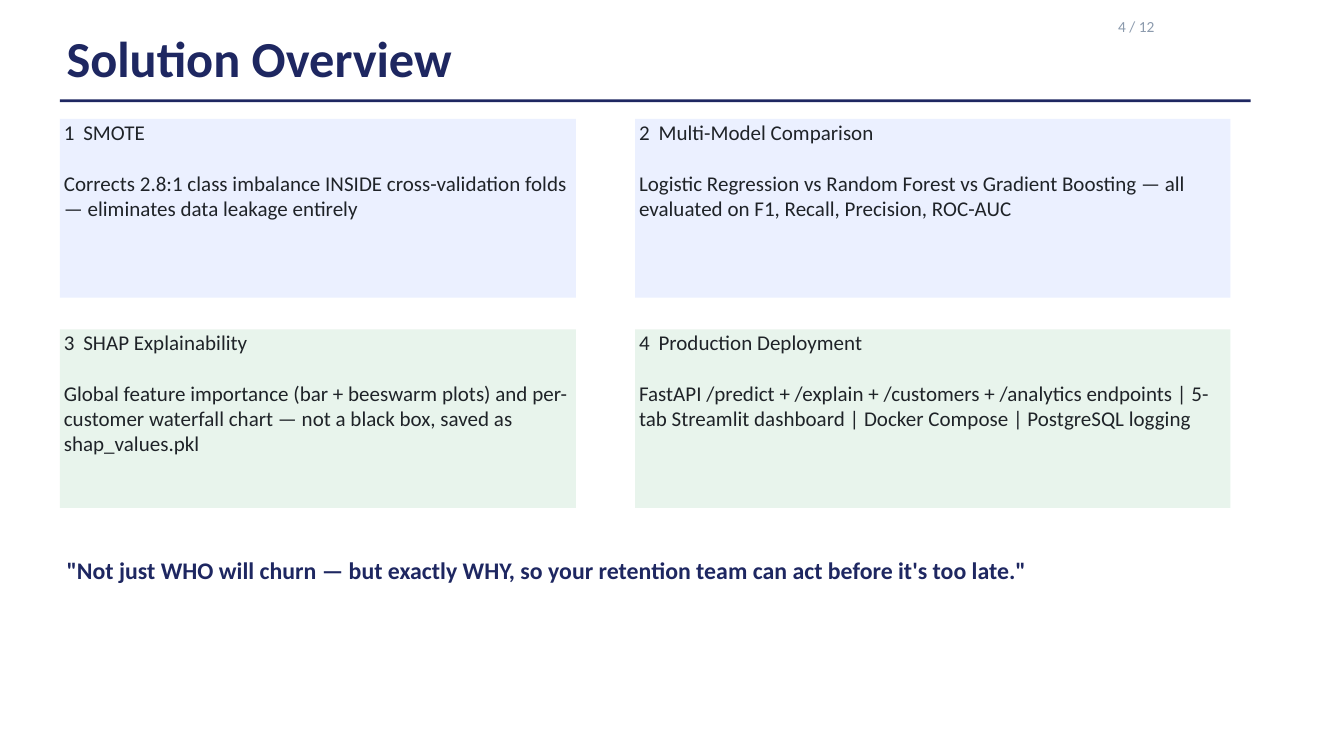
from lxml import etree
from pptx import Presentation
from pptx.dml.color import RGBColor
from pptx.enum import shapes, text
from pptx.oxml import ns
from pptx.util import Inches, Pt

NAVY, INK, GREY = "1E2761", "1F2328", "8B9AAD"
BLUE, GREEN = "EBF0FF", "E8F4EC"
LABELS = [
    ("4 / 12", (16.64, 0.25, 2.16, 0.4), 16.5, 19.8, GREY, False),
    ("Solution Overview", (0.99, 0.4, 15.15, 0.97), 54, 64.8, NAVY, True),
    ('"Not just WHO will churn — but exactly WHY, so your retention team '
     'can act before it\'s too late."',
     (0.99, 8.27, 16.93, 0.84), 25.5, 30.6, NAVY, True),
]
CARDS = [
    ("SMOTE", "Corrects 2.8:1 class imbalance INSIDE cross-validation folds "
     "— eliminates data leakage entirely"),
    ("Multi-Model Comparison", "Logistic Regression vs Random Forest vs "
     "Gradient Boosting — all evaluated on F1, Recall, Precision, ROC-AUC"),
    ("SHAP Explainability", "Global feature importance (bar + beeswarm plots) "
     "and per-customer waterfall chart — not a black box, saved as "
     "shap_values.pkl"),
    ("Production Deployment", "FastAPI /predict + /explain + /customers + "
     "/analytics endpoints | 5-tab Streamlit dashboard | Docker Compose | "
     "PostgreSQL logging"),
]
COLS = [(0.89, 7.68), (9.45, 8.86)]
ROWS = [(1.77, BLUE), (4.9, GREEN)]
TALL = 2.66


def color(code):
    return RGBColor.from_string(code)


def block(place, fill):
    box = slide.shapes.add_shape(shapes.MSO_SHAPE.RECTANGLE, *map(Inches, place))
    box.shadow.inherit = False
    box.fill.solid()
    box.fill.fore_color.rgb = color(fill)
    box.line.fill.background()
    return box


def frame(box, side=0, top=0):
    body = box.text_frame
    body.word_wrap = True
    body.vertical_anchor = text.MSO_ANCHOR.TOP
    body.margin_left = body.margin_right = Inches(side)
    body.margin_top = body.margin_bottom = Inches(top)
    return body


def write(para, words, size, lead, ink, bold=False):
    para.alignment = text.PP_ALIGN.LEFT
    para.line_spacing = Pt(lead)
    run = para.add_run()
    run.text = words
    run.font.name = "Calibri"
    run.font.size = Pt(size)
    run.font.bold = bold
    run.font.color.rgb = color(ink)


def set_tab(para, pos):
    tabs = etree.SubElement(para._p.get_or_add_pPr(), ns.qn("a:tabLst"))
    etree.SubElement(tabs, ns.qn("a:tab"), pos=str(Inches(pos)), algn="l")


deck = Presentation()
deck.slide_width, deck.slide_height = Inches(20), Inches(11.25)
slide = deck.slides.add_slide(deck.slide_layouts[6])

for words, place, size, lead, ink, bold in LABELS:
    box = slide.shapes.add_textbox(*map(Inches, place))
    write(frame(box).paragraphs[0], words, size, lead, ink, bold)

block((0.89, 1.48, 17.72, 0.04), NAVY)

for num, (name, note) in enumerate(CARDS):
    left, wide = COLS[num % 2]
    top, fill = ROWS[num // 2]
    body = frame(block((left, top, wide, TALL), fill), 0.06, 0.01)
    head = body.paragraphs[0]
    set_tab(head, 0.29)
    write(head, f"{num + 1}\t{name}", 22.5, 27, INK)
    head.space_after = Pt(27)
    write(body.add_paragraph(), note, 22.5, 27, INK)

deck.save("out.pptx")
